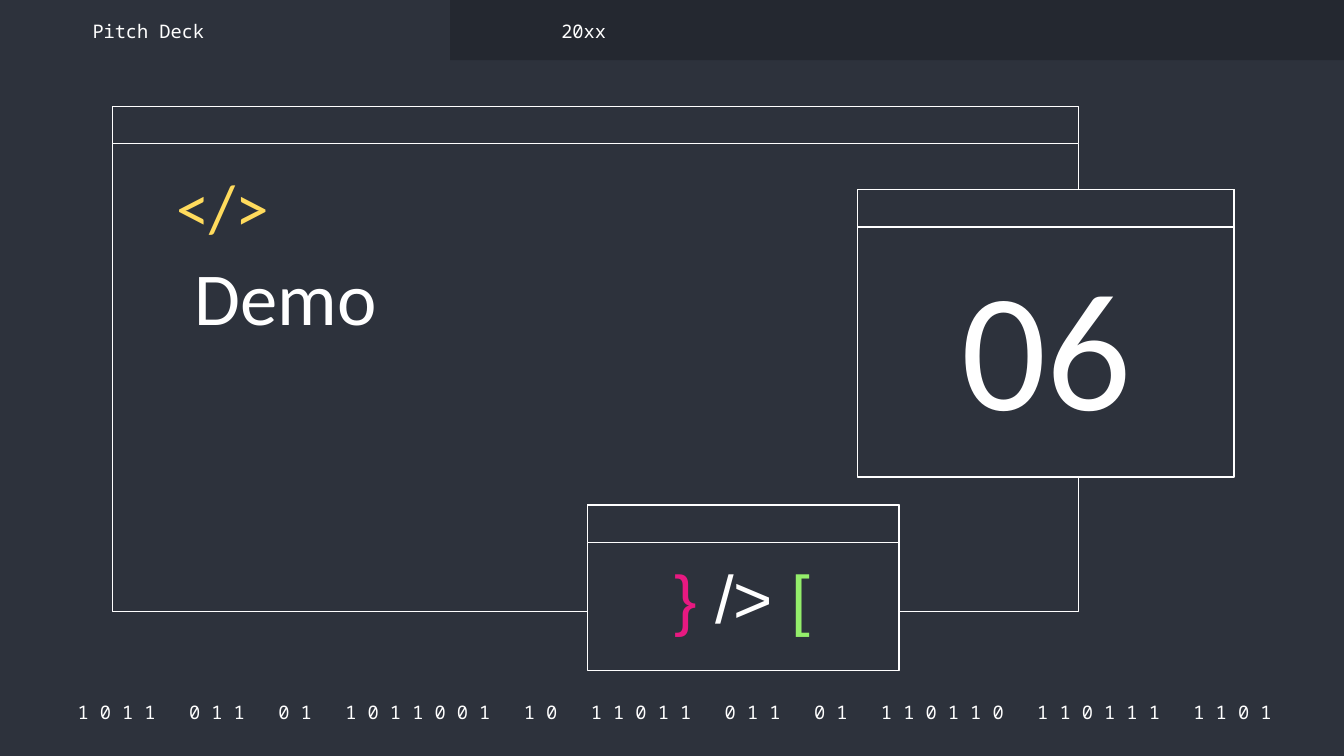
import pptx
import pptx.util
import pptx.dml.color
import pptx.enum.shapes
import pptx.enum.text
from dataclasses import dataclass

Cm = pptx.util.Cm
Align = pptx.enum.text.PP_ALIGN
Anchor = pptx.enum.text.MSO_ANCHOR


@dataclass(frozen=True)
class Theme:
    background: str = "2D323C"
    header: str = "242830"
    white: str = "FFFFFF"
    yellow: str = "FFDB5D"
    pink: str = "E81981"
    green: str = "94EE6B"
    mono: str = "Noto Sans Mono"
    display: str = "Calibri"
    symbol: str = "Arial"
    small: int = 10
    code: int = 36
    title: int = 40
    number: int = 90
    line: float = 0.75


theme = Theme()

binary_words = "1011 011 01 1011001 10 11011 011 01 110110 110111 1101".split()
binary_row = "   ".join(" ".join(word) for word in binary_words)
header_labels = [("Pitch Deck", 1.5), ("20xx", 10.36)]
windows = [
    (2.13, 2.01, 18.26, 9.55),
    (11.1, 9.55, 5.89, 3.12),
    (16.21, 3.58, 7.11, 5.44),
]
title_bar_height = 0.71
symbols = [("}", theme.pink), (" /> ", theme.white), ("[", theme.green)]

deck = pptx.Presentation()
deck.slide_width, deck.slide_height = Cm(25.4), Cm(14.29)
slide = deck.slides.add_slide(deck.slide_layouts[6])


def rgb(color):
    return pptx.dml.color.RGBColor.from_string(color)


def add_panel(parent, box, fill, outline=None):
    panel = parent.add_shape(
        pptx.enum.shapes.MSO_SHAPE.RECTANGLE, *map(Cm, box)
    )
    panel.shadow.inherit = False
    panel.fill.solid()
    panel.fill.fore_color.rgb = rgb(fill)
    if outline:
        panel.line.color.rgb = rgb(outline)
        panel.line.width = pptx.util.Pt(theme.line)
    else:
        panel.line.fill.background()


def add_text(text, *, box, size, font, color=theme.white,
             align=Align.LEFT, anchor=Anchor.TOP, spacing=None):
    frame = slide.shapes.add_textbox(*map(Cm, box)).text_frame
    frame.word_wrap = True
    frame.vertical_anchor = anchor
    frame.margin_left = frame.margin_right = Cm(0.25)
    frame.margin_top = frame.margin_bottom = Cm(0.25)
    paragraph = frame.paragraphs[0]
    paragraph.alignment = align
    paragraph.line_spacing = spacing
    pieces = [(text, color)] if isinstance(text, str) else text
    for wording, tint in pieces:
        run = paragraph.add_run()
        run.text = wording
        run.font.size = pptx.util.Pt(size)
        run.font.name = font
        run.font.color.rgb = rgb(tint)


slide.background.fill.solid()
slide.background.fill.fore_color.rgb = rgb(theme.background)

add_text(binary_row, box=(0.97, 13.21, 23.55, 0.51), size=theme.small,
         font=theme.mono, align=Align.CENTER, anchor=Anchor.MIDDLE)
add_panel(slide.shapes, (8.51, 0, 16.89, 1.14), theme.header)

for left, top, width, height in windows:
    window = slide.shapes.add_group_shape().shapes
    for part_height in (height, title_bar_height):
        add_panel(window, (left, top, width, part_height),
                  theme.background, theme.white)

add_text("Demo", box=(3.43, 4.5, 11.18, 4.11), size=theme.title,
         font=theme.display)
add_text("06", box=(16.69, 4.45, 6.17, 4.19), size=theme.number,
         font=theme.display, align=Align.CENTER, anchor=Anchor.BOTTOM)
add_text("</>", box=(2.34, 3.05, 3, 1.57), size=theme.code,
         font=theme.display, color=theme.yellow, align=Align.RIGHT, spacing=0.9)
for label, left in header_labels:
    add_text(label, box=(left, 0.33, 5.56, 0.51), size=theme.small,
             font=theme.mono, anchor=Anchor.MIDDLE)
add_text(symbols, box=(12.34, 10.44, 3.38, 2.08), size=theme.code,
         font=theme.symbol, align=Align.CENTER, spacing=0.9)

deck.save("out.pptx")
